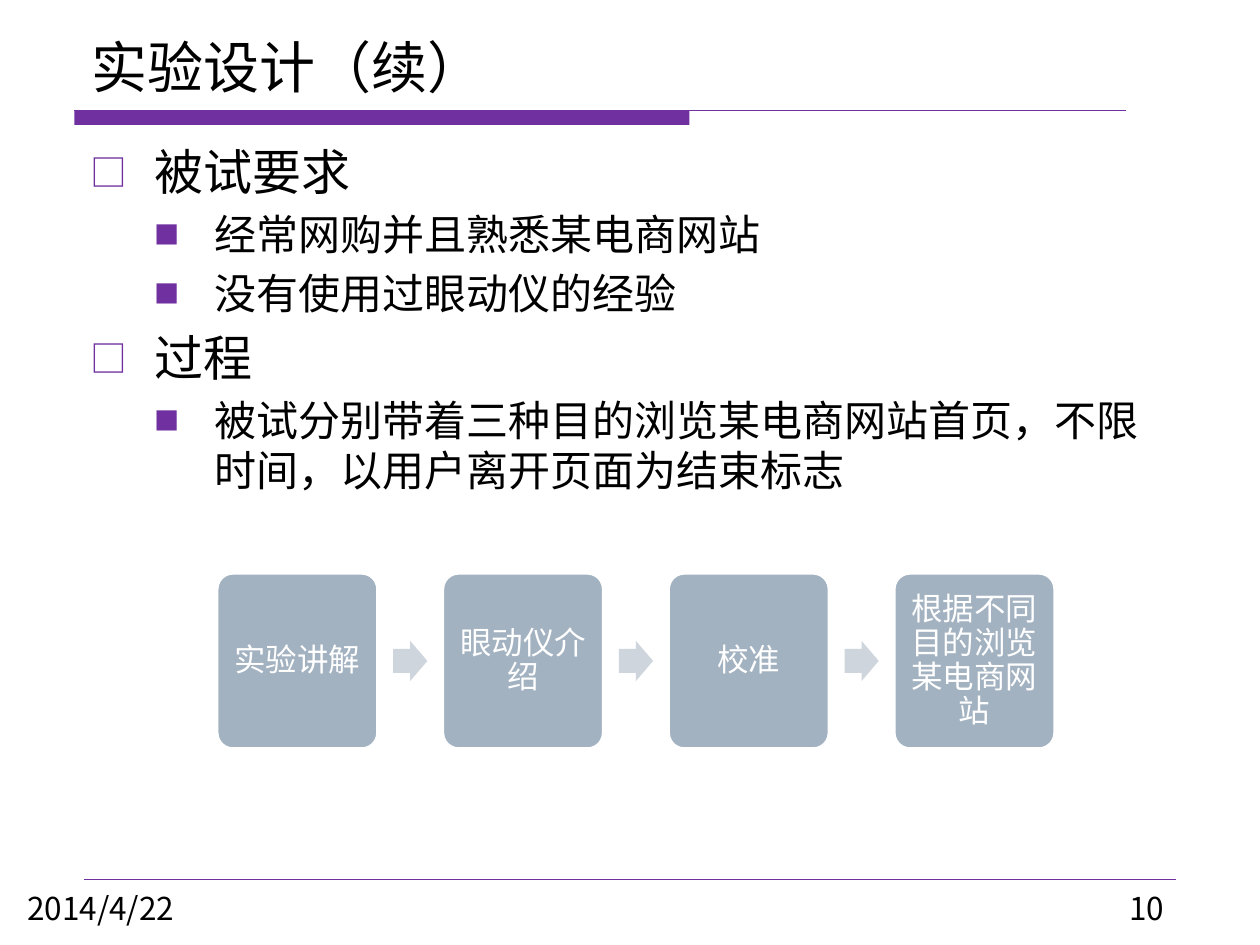
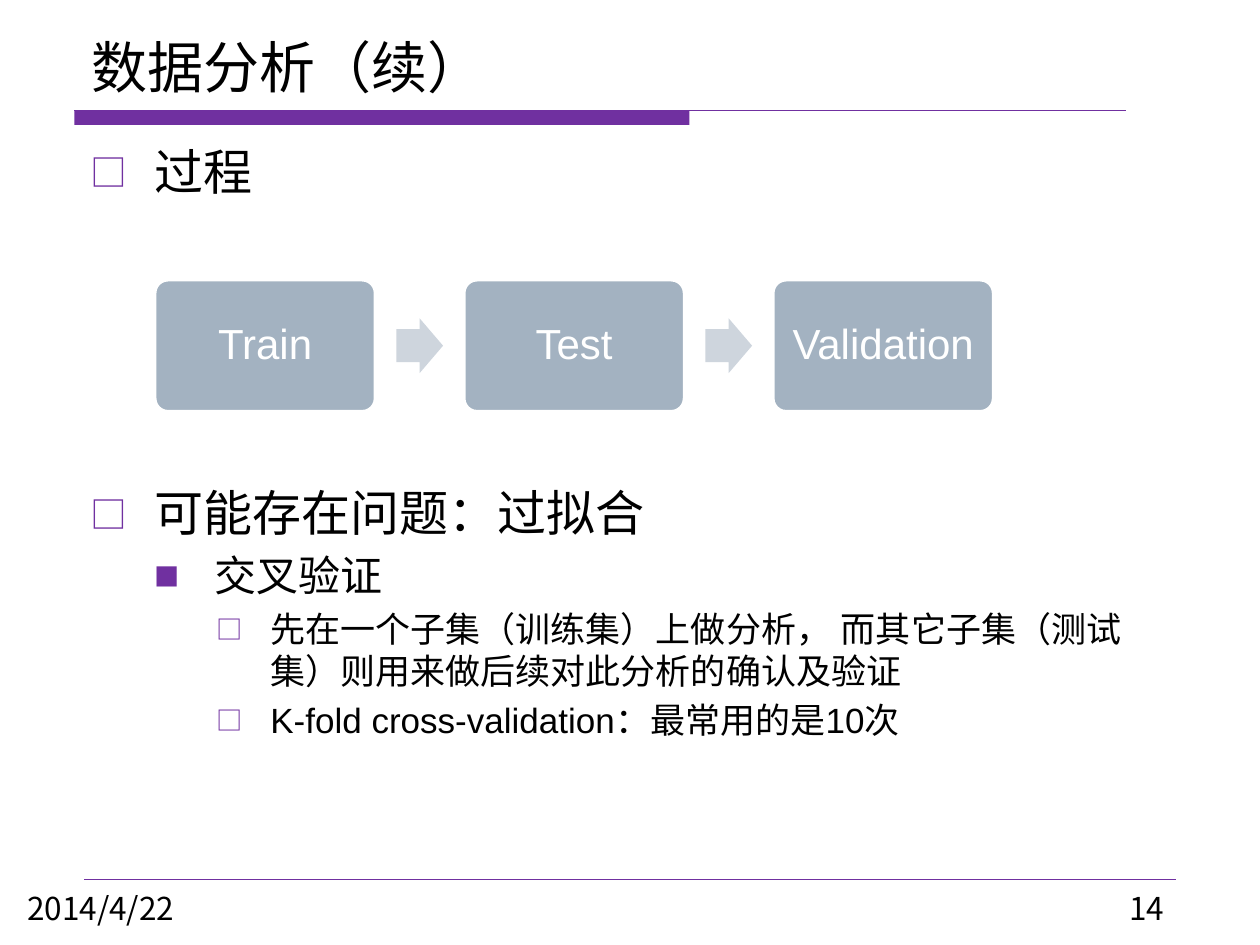
from lxml import etree
from pptx import Presentation
from pptx.dml.color import RGBColor
from pptx.enum.shapes import MSO_CONNECTOR, MSO_SHAPE
from pptx.enum.text import MSO_ANCHOR, PP_ALIGN
from pptx.oxml.ns import qn
from pptx.util import Cm, Pt

PURPLE = RGBColor(0x70, 0x30, 0xA0)
STEP_FILL = RGBColor(0xA3, 0xB2, 0xC1)
ARROW_FILL = RGBColor(0xCE, 0xD5, 0xDD)
BLACK = RGBColor(0, 0, 0)
WHITE = RGBColor(0xFF, 0xFF, 0xFF)

MAIN_FONT = "Arial"
FOOTER_FONT = "Noto Sans CJK SC"

ROUNDED = MSO_SHAPE.ROUNDED_RECTANGLE
ARROW = MSO_SHAPE.RIGHT_ARROW
RECTANGLE = MSO_SHAPE.RECTANGLE
STRAIGHT = MSO_CONNECTOR.STRAIGHT
TOP, MIDDLE = MSO_ANCHOR.TOP, MSO_ANCHOR.MIDDLE
LEFT, CENTER, RIGHT = PP_ALIGN.LEFT, PP_ALIGN.CENTER, PP_ALIGN.RIGHT

DATE = "2014/4/22"

# Font size, left margin (cm), hanging indent (cm), bullet, bullet percent
LEVELS = [
    (28, 1.3, 1.3, "□", 75),
    (24, 2.51, 1.22, "■", 60),
    (20, 3.63, 1.09, "□", 75),
]


def add_run(paragraph, text, size, color=BLACK, font=MAIN_FONT):
    """Add one formatted run, with the same font for Latin and Chinese text."""
    run = paragraph.add_run()
    run.text = text
    run.font.size = Pt(size)
    run.font.name = font
    run.font.color.rgb = color
    east_asian = etree.SubElement(run._r.get_or_add_rPr(), qn("a:ea"))
    east_asian.set("typeface", font)


def add_text_box(slide, left, top, width, height, anchor=TOP):
    """Add a wrapping text box, in centimetres, and return its text frame."""
    shape = slide.shapes.add_textbox(Cm(left), Cm(top), Cm(width), Cm(height))
    frame = shape.text_frame
    frame.word_wrap = True
    frame.vertical_anchor = anchor
    return frame


def add_filled_shape(slide, kind, left, top, width, height, fill):
    """Add a preset shape, in centimetres, with a plain fill and no line."""
    shape = slide.shapes.add_shape(kind, Cm(left), Cm(top), Cm(width), Cm(height))
    shape.shadow.inherit = False
    shape.fill.solid()
    shape.fill.fore_color.rgb = fill
    shape.line.fill.background()
    return shape


def add_rule(slide, left, right, top, weight):
    """Add a horizontal purple line."""
    line = slide.shapes.add_connector(STRAIGHT, Cm(left), Cm(top), Cm(right), Cm(top))
    line.line.color.rgb = PURPLE
    line.line.width = Pt(weight)
    etree.SubElement(line._element.spPr, qn("a:effectLst"))


def add_title(slide, text):
    """Add the slide title above its purple band."""
    add_filled_shape(slide, RECTANGLE, 1.5, 2.23, 12.4, 0.29, PURPLE)
    add_rule(slide, 1.5, 22.7, 2.23, 0.75)
    frame = add_text_box(slide, 1.6, 0.53, 22.22, 1.6, MIDDLE)
    add_run(frame.paragraphs[0], text, 32)


def add_footer(slide, number):
    """Add the footer line, the date and the slide number."""
    add_rule(slide, 1.7, 23.7, 17.73, 0.25)
    entries = [(DATE, 0.3, 16.08, LEFT), (number, 18.21, 5.51, RIGHT)]
    for text, left, width, alignment in entries:
        frame = add_text_box(slide, left, 17.93, width, 0.74)
        frame.margin_top = 0
        paragraph = frame.paragraphs[0]
        paragraph.alignment = alignment
        add_run(paragraph, text, 18, font=FOOTER_FONT)


def set_bullet(paragraph, margin, hanging, character, percent):
    """Give a paragraph a hanging indent and a purple bullet."""
    properties = paragraph._p.get_or_add_pPr()
    properties.set("marL", str(Cm(margin)))
    properties.set("indent", str(-Cm(hanging)))
    color = etree.SubElement(properties, qn("a:buClr"))
    etree.SubElement(color, qn("a:srgbClr")).set("val", str(PURPLE))
    size = etree.SubElement(properties, qn("a:buSzPct"))
    size.set("val", str(percent * 1000))
    etree.SubElement(properties, qn("a:buFont")).set("typeface", FOOTER_FONT)
    etree.SubElement(properties, qn("a:buChar")).set("char", character)


def add_outline(slide, items):
    """Add the bulleted body from (level, text, extra space before) items."""
    frame = add_text_box(slide, 1.57, 2.72, 22.22, 14.8)
    for index, (level, text, extra_space) in enumerate(items):
        paragraph = frame.add_paragraph() if index else frame.paragraphs[0]
        size, *bullet = LEVELS[level]
        paragraph.level = level
        paragraph.space_before = Pt(0.2 * size + extra_space)
        set_bullet(paragraph, *bullet)
        add_run(paragraph, text, size)


def add_flow(slide, steps, left, top, width, height, size, inset):
    """Add a row of rounded steps with an arrow centred in each gap."""
    pitch = 1.4 * width
    arrow_width, arrow_height = 0.212 * width, 0.248 * width
    arrow_offset = (width + pitch - arrow_width) / 2
    arrow_top = top + (height - arrow_height) / 2
    for index, text in enumerate(steps):
        step_left = left + index * pitch
        step = add_filled_shape(slide, ROUNDED, step_left, top, width, height, STEP_FILL)
        step.adjustments[0] = 0.1
        step.line.color.rgb = WHITE
        step.line.width = Pt(2)
        frame = step.text_frame
        frame.word_wrap = True
        frame.vertical_anchor = MIDDLE
        frame.margin_left = frame.margin_right = Cm(inset)
        frame.margin_top = frame.margin_bottom = Cm(inset)
        paragraph = frame.paragraphs[0]
        paragraph.alignment = CENTER
        paragraph.line_spacing = 0.9
        add_run(paragraph, text, size, WHITE)
        if index < len(steps) - 1:
            arrow = add_filled_shape(slide, ARROW, step_left + arrow_offset, arrow_top,
                                     arrow_width, arrow_height, ARROW_FILL)
            arrow.adjustments[0] = 0.6
            arrow.adjustments[1] = 0.5


def add_content_slide(presentation, title, number, items):
    """Add a slide with the shared title, footer and bulleted body."""
    slide = presentation.slides.add_slide(presentation.slide_layouts[6])
    add_title(slide, title)
    add_outline(slide, items)
    add_footer(slide, number)
    return slide


def main():
    """Build and save the presentation."""
    presentation = Presentation()
    presentation.slide_width = Cm(25.4)
    presentation.slide_height = Cm(19.05)

    design = add_content_slide(presentation, "实验设计（续）", "10", [
        (0, "被试要求", 0),
        (1, "经常网购并且熟悉某电商网站", 0),
        (1, "没有使用过眼动仪的经验", 0),
        (0, "过程", 0),
        (1, "被试分别带着三种目的浏览某电商网站首页，不限时间，以用户离开页面为结束标志", 0),
    ])
    add_flow(design, ["实验讲解", "眼动仪介绍", "校准", "根据不同目的浏览某电商网站"],
             4.37, 11.55, 3.25, 3.55, 18, 0.18)

    analysis = add_content_slide(presentation, "数据分析（续）", "14", [
        (0, "过程", 0),
        (0, "可能存在问题：过拟合", 156),
        (1, "交叉验证", 0),
        (2, "先在一个子集（训练集）上做分析， 而其它子集（测试集）则用来做后续对此分析的确认及验证", 0),
        (2, "K-fold cross-validation：最常用的是10次", 0),
    ])
    add_flow(analysis, ["Train", "Test", "Validation"],
             3.12, 5.64, 4.45, 2.66, 24, 0.25)

    presentation.save("out.pptx")


if __name__ == "__main__":
    main()
